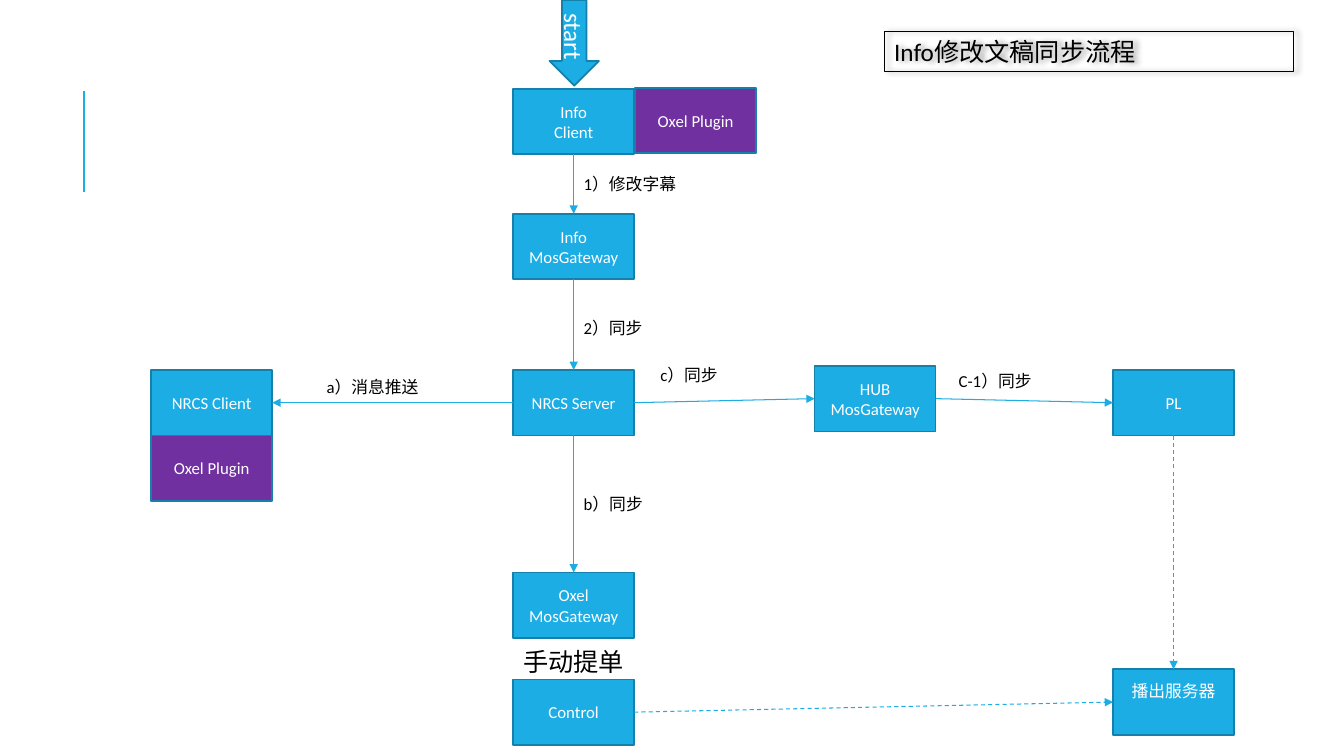
from lxml import etree
from pptx import Presentation
from pptx.dml.color import RGBColor
from pptx.enum.dml import MSO_LINE
from pptx.enum.shapes import MSO_CONNECTOR, MSO_SHAPE
from pptx.enum.text import MSO_ANCHOR, PP_ALIGN
from pptx.oxml import parse_xml
from pptx.oxml.ns import nsdecls, qn
from pptx.util import Inches, Pt

BLUE, EDGE, PURPLE = "1CADE4", "1580A9", "7030A0"
WHITE, BLACK = "FFFFFF", "000000"
TOP, LEFT, BOTTOM, RIGHT = range(4)  # connection sites of a rectangle


def color(value):
    return RGBColor.from_string(value)


class Diagram:
    font = "Calibri"
    box_width, box_height = 1.2, 0.65

    def __init__(self, page):
        self.page = page

    def set_text(self, shape, text, size, ink, align):
        frame = shape.text_frame
        frame.word_wrap = True
        frame.text = text
        for paragraph in frame.paragraphs:
            paragraph.alignment = align
            paragraph.font.name = self.font
            paragraph.font.size = Pt(size)
            paragraph.font.color.rgb = color(ink)

    def shape(self, kind, left, top, width, height, text, fill=BLUE, size=12):
        shape = self.page.shapes.add_shape(
            kind, Inches(left), Inches(top), Inches(width), Inches(height))
        shape.shadow.inherit = False
        shape.fill.solid()
        shape.fill.fore_color.rgb = color(fill)
        shape.line.color.rgb = color(EDGE)
        shape.line.width = Pt(1.25)
        self.set_text(shape, text, size, WHITE, PP_ALIGN.CENTER)
        shape.text_frame.vertical_anchor = MSO_ANCHOR.MIDDLE
        return shape

    def box(self, left, top, text, fill=BLUE):
        return self.shape(MSO_SHAPE.RECTANGLE, left, top,
                          self.box_width, self.box_height, text, fill)

    def label(self, left, top, text, width=1.49, height=0.3, size=12):
        label = self.page.shapes.add_textbox(
            Inches(left), Inches(top), Inches(width), Inches(height))
        self.set_text(label, text, size, BLACK, PP_ALIGN.LEFT)
        return label

    def line(self, start=(0, 0), end=(0, 0), width=0.75):
        line = self.page.shapes.add_connector(
            MSO_CONNECTOR.STRAIGHT, *map(Inches, start + end))
        line.line.color.rgb = color(BLUE)
        line.line.width = Pt(width)
        etree.SubElement(line._element.spPr, qn("a:effectLst"))
        return line

    def arrow(self, source, source_site, target, target_site, dashed=False):
        arrow = self.line()
        arrow.begin_connect(source, source_site)
        arrow.end_connect(target, target_site)
        if dashed:
            arrow.line.dash_style = MSO_LINE.DASH
        outline = arrow.line._get_or_add_ln()
        etree.SubElement(outline, qn("a:tailEnd"), type="triangle")

    def title(self, left, top, width, height, text):
        title = self.label(left, top, text, width, height, size=18)
        title.line.color.rgb = color(BLACK)
        title.line.width = Pt(0.75)
        title._element.spPr.append(parse_xml(
            f'<a:effectLst {nsdecls("a")}>'
            f'<a:outerShdw blurRad="{Pt(4)}" dist="{Pt(3)}" dir="0">'
            f'<a:srgbClr val="{BLACK}"><a:alpha val="40000"/></a:srgbClr>'
            '</a:outerShdw></a:effectLst>'))


deck = Presentation()
deck.slide_width, deck.slide_height = Inches(13.33), Inches(7.5)
diagram = Diagram(deck.slides.add_slide(deck.slide_layouts[6]))

# Side rule and title
diagram.line((0.83, 1.9), (0.83, 0.9), width=1.5)
diagram.title(8.77, 0.31, 4.06, 0.4, "Info修改文稿同步流程")

# Central column
center, row = 5.09, 3.67
client = diagram.box(center, 0.88, "Info\nClient")
gateway = diagram.box(center, 2.12, "Info MosGateway")
server = diagram.box(center, row, "NRCS Server")
graphics_gateway = diagram.box(center, 5.68, "Oxel MosGateway")
control = diagram.box(center, 6.74, "Control")

# Boxes to the left and right
news_client = diagram.box(1.5, row, "NRCS Client")
hub_gateway = diagram.box(8.08, 3.63, "HUB\nMosGateway")
playlist = diagram.box(11.04, row, "PL")
playout = diagram.box(11.04, 6.64, "播出服务器")
playout.text_frame.vertical_anchor = MSO_ANCHOR.TOP
playout.text_frame.margin_top = Inches(0.11)

# Plugins
for left, top in ((1.5, row + diagram.box_height), (6.3, 0.87)):
    diagram.box(left, top, "Oxel Plugin", PURPLE)

# Start arrow
start = diagram.shape(MSO_SHAPE.RIGHT_ARROW, 5.27, 0.18, 0.85, 0.49,
                      "start", size=18)
start.rotation = 90

# Flow arrows
for upper, lower in ((client, gateway), (gateway, server),
                     (server, graphics_gateway)):
    diagram.arrow(upper, BOTTOM, lower, TOP)
diagram.arrow(server, LEFT, news_client, RIGHT)
diagram.arrow(server, RIGHT, hub_gateway, LEFT)
diagram.arrow(hub_gateway, RIGHT, playlist, LEFT)
diagram.arrow(control, RIGHT, playout, LEFT, dashed=True)
diagram.arrow(playlist, BOTTOM, playout, TOP, dashed=True)

# Step labels
for left, top, text in (
        (5.69, 1.67, "1）修改字幕"),
        (5.69, 3.1, "2）同步"),
        (3.14, 3.69, "a）消息推送"),
        (5.69, 4.85, "b）同步"),
        (6.45, 3.57, "c）同步"),
        (9.41, 3.63, "C-1）同步")):
    diagram.label(left, top, text)
diagram.label(center, 6.36, "手动提单", 1.31, 0.4, size=18)

deck.save("out.pptx")
